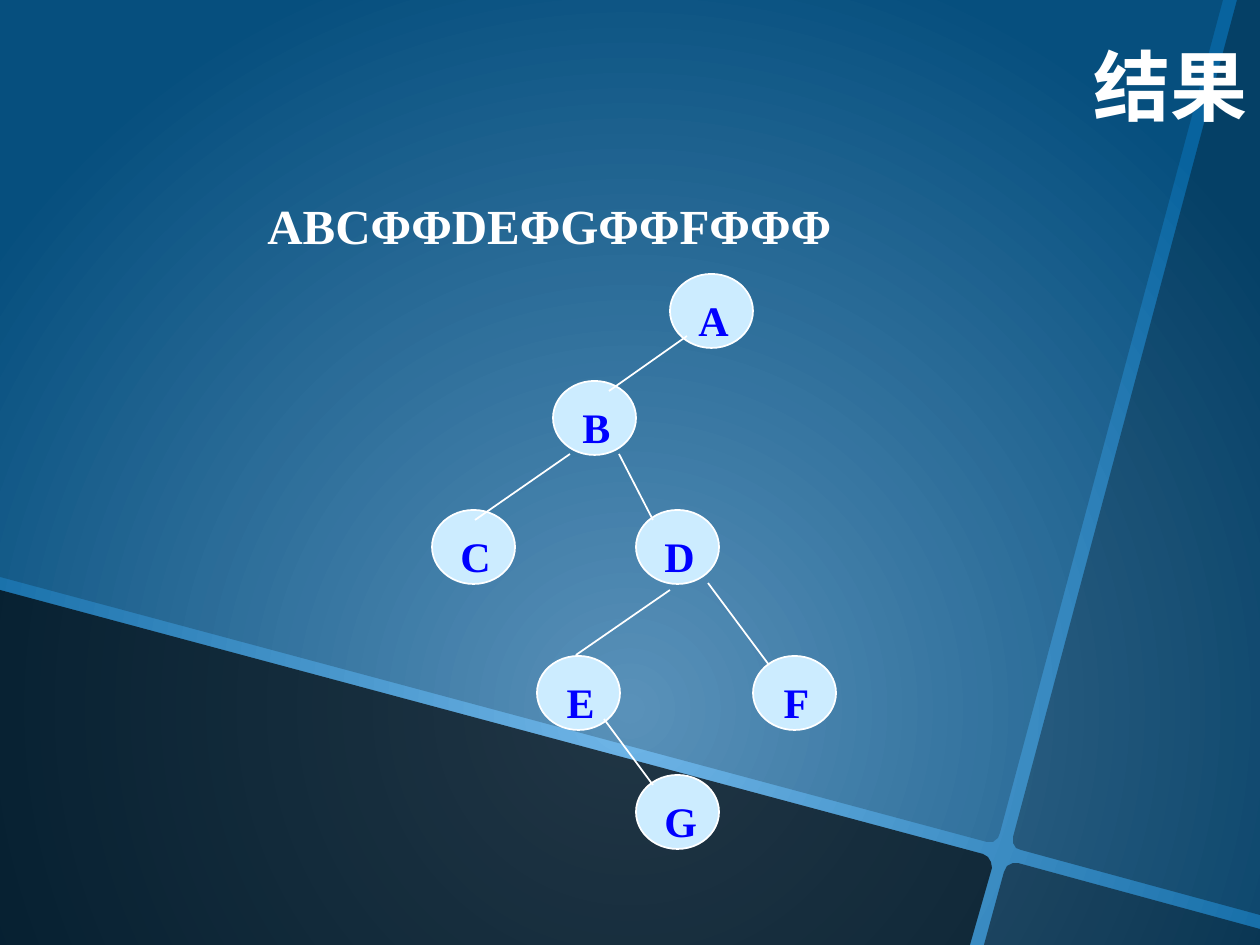
from lxml import etree
from pptx import Presentation
from pptx.dml.color import RGBColor
from pptx.enum.shapes import MSO_CONNECTOR, MSO_SHAPE
from pptx.enum.text import MSO_ANCHOR, PP_ALIGN
from pptx.oxml.ns import qn
from pptx.util import Pt

PX = 914400 / 126
W, H = 1260, 945

WHITE = RGBColor(0xFF, 0xFF, 0xFF)
BLACK = RGBColor(0x00, 0x00, 0x00)
BLUE = RGBColor(0x00, 0x00, 0xFF)
PALE_BLUE = RGBColor(0xCC, 0xEC, 0xFF)
GLOW = RGBColor(0x70, 0xB6, 0xE8)
DEEP_BLUE = RGBColor(0x08, 0x63, 0x9E)

STRAIGHT = MSO_CONNECTOR.STRAIGHT
OVAL = MSO_SHAPE.OVAL
LEFT, CENTER, RIGHT = PP_ALIGN.LEFT, PP_ALIGN.CENTER, PP_ALIGN.RIGHT
TOP, BOTTOM = MSO_ANCHOR.TOP, MSO_ANCHOR.BOTTOM
SERIF, HEADING = "Times New Roman", "TeX Gyre Bonum"

# Dark panels: opacity in percent, outline
PANELS = [
    (20, [(0, 0), (1223, 0), (1000, 833), (998, 838), (993, 842), (987, 842), (0, 577)]),
    (70, [(0, 590), (983, 854), (988, 857), (991, 862), (992, 868), (970, 945), (0, 945)]),
    (50, [(1013, 863), (1018, 863), (1260, 929), (1260, 945), (984, 945), (1004, 872),
          (1007, 866)]),
    (35, [(1237, 0), (1260, 0), (1260, 915), (1021, 850), (1016, 848), (1013, 843),
          (1013, 837)]),
]

# Tree, relative to its box
TREE_BOX = (432, 274)
NODE_W, NODE_H = 83, 74
NODES = {"A": (238, 0), "B": (121, 107), "C": (0, 236), "D": (204, 236),
         "E": (105, 382), "G": (204, 501), "F": (321, 382)}
EDGES = [
    ((255, 62), (177, 117)),   # A-B
    ((138, 180), (43, 246)),   # B-C
    ((238, 316), (144, 381)),  # D-E
    ((187, 180), (221, 246)),  # B-D
    ((276, 309), (337, 391)),  # D-F
    ((172, 445), (221, 511)),  # E-G
]


def px(*values):
    return [round(v * PX) for v in values]


def add_text(slide, box, text, size, color, font=SERIF, align=LEFT, anchor=TOP, wrap=True):
    tf = slide.shapes.add_textbox(*px(*box)).text_frame
    tf.word_wrap = wrap
    tf.vertical_anchor = anchor
    p = tf.paragraphs[0]
    p.text = text
    p.alignment = align
    f = p.runs[0].font
    f.name, f.size, f.bold = font, Pt(size), True
    f.color.rgb = color


def add_background(slide):
    # Radial glow centred low on the slide
    fill = slide.background.fill
    fill.gradient()
    for stop, color, position in zip(fill.gradient_stops, (GLOW, DEEP_BLUE), (0, 1)):
        stop.color.rgb = color
        stop.position = position
    grad = next(slide._element.iter(qn("a:gradFill")))
    grad.remove(grad.find(qn("a:lin")))
    circle = etree.SubElement(grad, qn("a:path"), path="circle")
    etree.SubElement(circle, qn("a:fillToRect"), l="50000", t="50000", r="50000", b="0")

    # Translucent panels
    for opacity, points in PANELS:
        builder = slide.shapes.build_freeform(*points[0], scale=PX)
        builder.add_line_segments(points[1:], close=True)
        sp = builder.convert_to_shape()
        sp.shadow.inherit = False
        sp.fill.solid()
        sp.fill.fore_color.rgb = BLACK
        sp.line.fill.background()
        clr = sp._element.spPr.find(qn("a:solidFill"))[0]
        etree.SubElement(clr, qn("a:alpha"), val=str(opacity * 1000))


def add_node(slide, letter, x, y):
    sp = slide.shapes.add_shape(OVAL, *px(x, y, NODE_W, NODE_H))
    sp.shadow.inherit = False
    sp.fill.solid()
    sp.fill.fore_color.rgb = PALE_BLUE
    sp.line.color.rgb = WHITE
    sp.line.width = Pt(1)
    add_text(slide, (x + 16, y + 14, 55, 63), letter, 24, BLUE, align=CENTER, wrap=False)


def add_edge(slide, x1, y1, x2, y2):
    line = slide.shapes.add_connector(STRAIGHT, *px(x1, y1, x2, y2))
    line.line.color.rgb = WHITE
    line.line.width = Pt(1)
    etree.SubElement(line._element.spPr, qn("a:effectLst"))


def add_tree(slide, left, top):
    for letter, (x, y) in NODES.items():
        add_node(slide, letter, left + x, top + y)
    for (x1, y1), (x2, y2) in EDGES:
        add_edge(slide, left + x1, top + y1, left + x2, top + y2)


def main():
    prs = Presentation()
    prs.slide_width, prs.slide_height = px(W, H)
    slide = prs.slides.add_slide(prs.slide_layouts[6])
    add_background(slide)
    add_text(slide, (255, 189, 646, 72), "ABCΦΦDEΦGΦΦFΦΦΦ", 28, WHITE)
    add_tree(slide, *TREE_BOX)
    add_text(slide, (158, 21, 1102, 116), "结果", 44, WHITE, HEADING, RIGHT, BOTTOM)
    prs.save("out.pptx")


if __name__ == "__main__":
    main()
